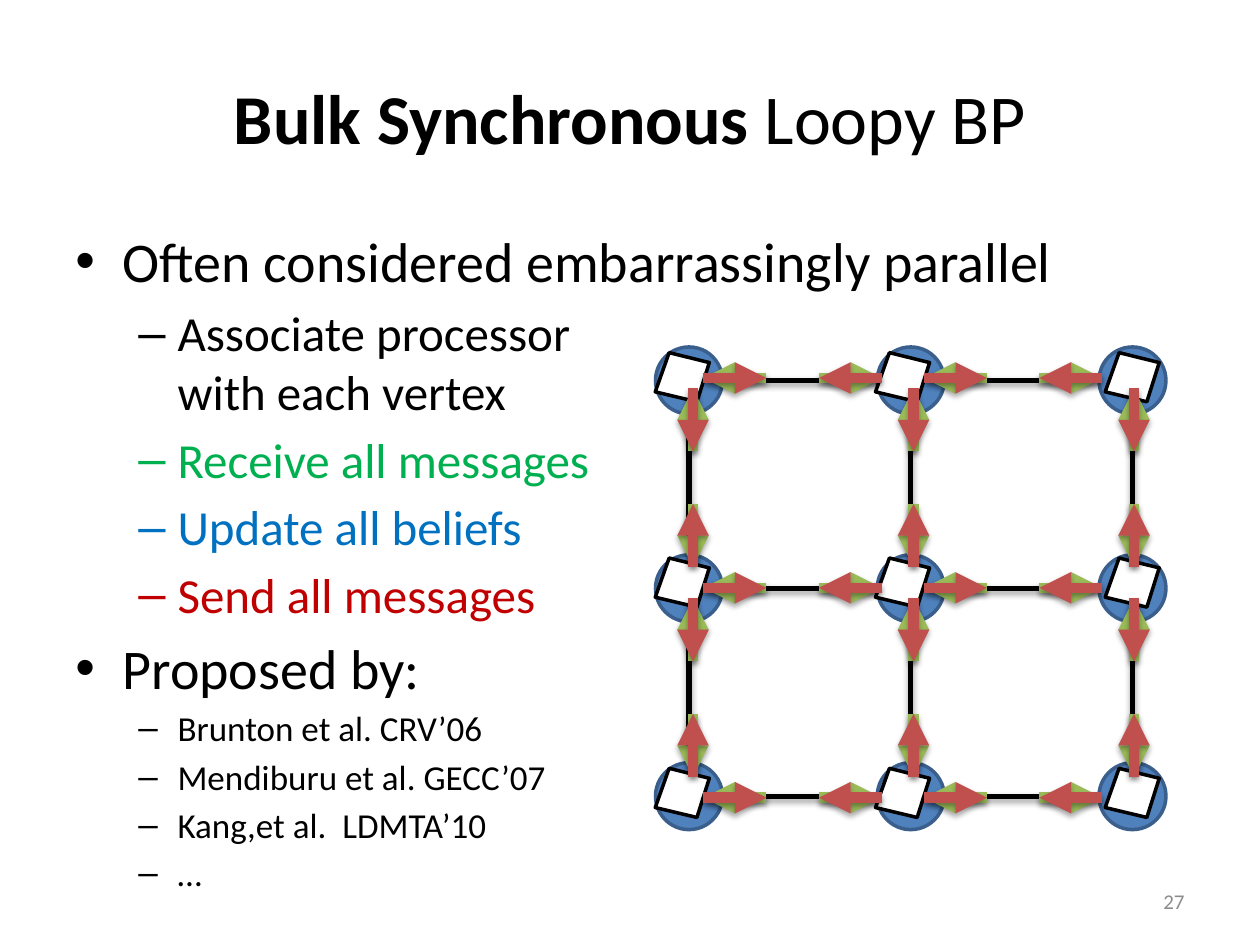
from itertools import product

from lxml import etree
from pptx import Presentation
from pptx import util as u
from pptx.dml.color import RGBColor
from pptx.enum import shapes, text
from pptx.oxml.ns import qn

BLACK = RGBColor(0x00, 0x00, 0x00)
WHITE = RGBColor(0xFF, 0xFF, 0xFF)
GREY = RGBColor(0x8C, 0x8C, 0x8C)
GREEN = RGBColor(0x00, 0xB0, 0x50)
BLUE = RGBColor(0x00, 0x70, 0xC0)
RED = RGBColor(0xC0, 0x00, 0x00)
VERTEX_FILL = RGBColor(0x4F, 0x81, 0xBD)
VERTEX_LINE = RGBColor(0x3A, 0x5F, 0x8C)
RECEIVE = RGBColor(0x9B, 0xBB, 0x59)
SEND = RGBColor(0xC0, 0x50, 0x4D)


def add_frame(left, top, width, height, anchor):
    frame = slide.shapes.add_textbox(
        u.Cm(left), u.Cm(top), u.Cm(width), u.Cm(height)).text_frame
    frame.word_wrap = True
    frame.vertical_anchor = anchor
    return frame


def add_line(parent, start, end, color, width, arrow=None):
    """Draw a shadowed line; arrow is the end to point: headEnd or tailEnd."""
    line = parent.add_connector(
        shapes.MSO_CONNECTOR.STRAIGHT, *(u.Cm(v) for v in (*start, *end)))
    line.line.color.rgb = color
    line.line.width = u.Pt(width)
    properties = line._element.spPr
    if arrow:
        etree.SubElement(properties.find(qn("a:ln")), qn(f"a:{arrow}"), type="triangle")
    effects = etree.SubElement(properties, qn("a:effectLst"))
    shadow = etree.SubElement(effects, qn("a:outerShdw"), blurRad="40000",
                              dist="23000", dir="5400000", rotWithShape="0")
    tint = etree.SubElement(shadow, qn("a:srgbClr"), val="000000")
    etree.SubElement(tint, qn("a:alpha"), val="35000")


deck = Presentation()
deck.slide_width, deck.slide_height = u.Cm(25.4), u.Cm(19.05)
slide = deck.slides.add_slide(deck.slide_layouts[6])

# Title
para = add_frame(1.27, 0.76, 22.86, 3.18, text.MSO_ANCHOR.MIDDLE).paragraphs[0]
para.alignment = text.PP_ALIGN.CENTER
para.font.size, para.font.name = u.Pt(40), "Calibri"
para.font.color.rgb = BLACK
for words, bold in (("Bulk Synchronous", True), (" Loopy BP", False)):
    span = para.add_run()
    span.text = words
    span.font.bold = bold

# Bulleted text: words, level, size, colour
ITEMS = [
    ("Often considered embarrassingly parallel", 0, 32, BLACK),
    ("Associate processor \vwith each vertex", 1, 28, BLACK),
    ("Receive all messages", 1, 28, GREEN),
    ("Update all beliefs", 1, 28, BLUE),
    ("Send all messages", 1, 28, RED),
    ("Proposed by:", 0, 32, BLACK),
    ("Brunton et al. CRV’06", 1, 20, BLACK),
    ("Mendiburu et al. GECC’07", 1, 20, BLACK),
    ("Kang,et al.  LDMTA’10", 1, 20, BLACK),
    ("…", 1, 20, BLACK),
]
LEVELS = [("•", 0.95, -0.95), ("–", 2.06, -0.79)]
body = add_frame(1.27, 4.45, 22.86, 13.54, text.MSO_ANCHOR.TOP)
for number, (words, level, size, color) in enumerate(ITEMS):
    para = body.add_paragraph() if number else body.paragraphs[0]
    para.text = words
    para.level = level
    bullet, margin, indent = LEVELS[level]
    properties = para._p.get_or_add_pPr()
    properties.set("marL", str(u.Cm(margin)))
    properties.set("indent", str(u.Cm(indent)))
    etree.SubElement(properties, qn("a:buFont"), typeface="Arial")
    etree.SubElement(properties, qn("a:buChar"), char=bullet)
    if number:
        para.space_before = u.Pt(round(0.18 * size, 1))
    para.font.size, para.font.name = u.Pt(size), "Calibri"
    para.font.color.rgb = color

# Grid of vertices
DIAMETER = 1.35
RADIUS = DIAMETER / 2
columns = [13.89 + 4.47 * i for i in range(3)]
rows = [7.67 + 4.19 * i for i in range(3)]
for y in rows:
    add_line(slide.shapes, (columns[0] + RADIUS, y), (columns[-1] - RADIUS, y), BLACK, 3)
for x in columns:
    add_line(slide.shapes, (x, rows[0] + RADIUS), (x, rows[-1] - RADIUS), BLACK, 3)
for y, x in product(rows, columns):
    vertex = slide.shapes.add_shape(
        shapes.MSO_SHAPE.OVAL, u.Cm(x - RADIUS), u.Cm(y - RADIUS),
        u.Cm(DIAMETER), u.Cm(DIAMETER))
    vertex.shadow.inherit = False
    vertex.fill.solid()
    vertex.fill.fore_color.rgb = VERTEX_FILL
    vertex.line.color.rgb = VERTEX_LINE
    vertex.line.width = u.Pt(2)

# Tilted processor on each vertex
CORNERS = [(0, 0.79), (0.28, 0), (1.09, 0.2), (0.84, 0.99)]
for top, left in product((7.11, 11.25, 15.49), (13.21, 17.65, 22.28)):
    points = [(u.Cm(left + dx), u.Cm(top + dy)) for dx, dy in CORNERS]
    outline = slide.shapes.build_freeform(*points[0], scale=1)
    outline.add_line_segments(points[1:], close=True)
    processor = outline.convert_to_shape()
    processor.shadow.inherit = False
    processor.fill.solid()
    processor.fill.fore_color.rgb = WHITE
    processor.line.color.rgb = BLACK
    processor.line.width = u.Pt(2)

# Messages: two per edge, as (far, near) distances along it
xs = [13.97 + 4.445 * i for i in range(3)]
ys = [7.62 + 4.23 * i for i in range(3)]
for color, arrow in ((RECEIVE, "tailEnd"), (SEND, "headEnd")):
    messages = slide.shapes.add_group_shape().shapes
    for far, near in ((1.48, 0.21), (2.54, 3.81)):
        for x, y in product(xs[:-1], ys):
            add_line(messages, (x + far, y), (x + near, y), color, 6, arrow)
        for x, y in product(xs, ys[:-1]):
            add_line(messages, (x, y + far), (x, y + near), color, 6, arrow)

# Slide number
para = add_frame(18.2, 17.66, 5.93, 1.01, text.MSO_ANCHOR.MIDDLE).paragraphs[0]
para.text = "27"
para.alignment = text.PP_ALIGN.RIGHT
para.font.size, para.font.name = u.Pt(12), "Calibri"
para.font.color.rgb = GREY

deck.save("out.pptx")
